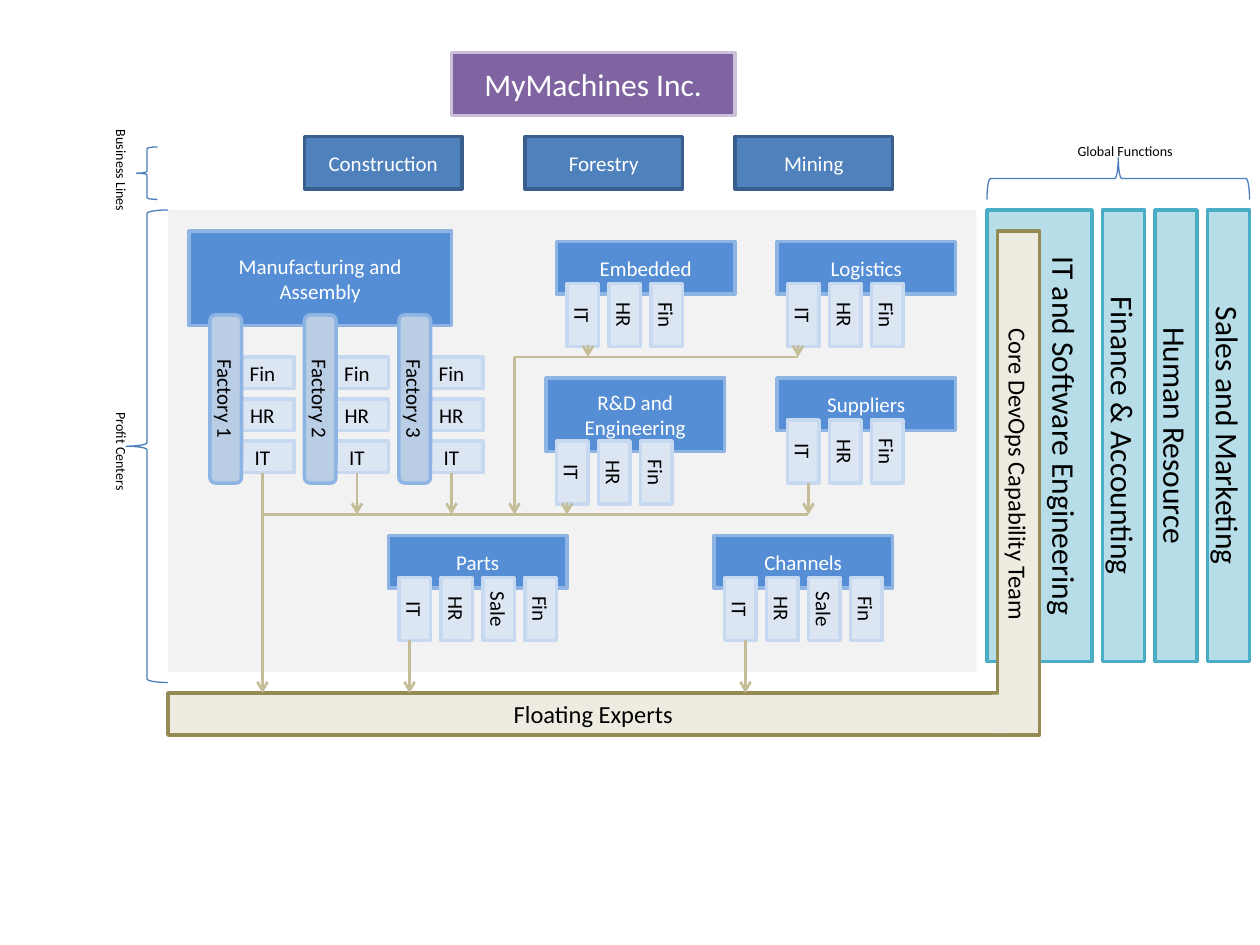
from lxml import etree
from pptx import Presentation
from pptx.dml.color import RGBColor
from pptx.enum.shapes import MSO_CONNECTOR, MSO_SHAPE
from pptx.enum.text import MSO_ANCHOR, PP_ALIGN
from pptx.oxml.ns import qn
from pptx.util import Pt

RECT, PILL, BRACE = MSO_SHAPE.RECTANGLE, MSO_SHAPE.ROUNDED_RECTANGLE, MSO_SHAPE.LEFT_BRACE
STRAIGHT = MSO_CONNECTOR.STRAIGHT
MIDDLE, CENTER = MSO_ANCHOR.MIDDLE, PP_ALIGN.CENTER
BOTTOM_SIDE = 2

COLORS = {
    "white": "FFFFFF", "black": "000000", "panel": "F2F2F2",
    "brace": "4B7EBC", "arrow": "C4BD97",
}
# style: fill, outline, text colour
STYLES = {
    "company": ("8064A2", "CCC1DA", "white"),
    "business": ("4F81BD", "3A5F8C", "white"),
    "function": ("B7DEE8", "4BACC6", "black"),
    "unit": ("558ED5", "8EB4E3", "white"),
    "department": ("DCE6F2", "C6D9F1", "black"),
    "factory": ("B9CDE5", "8EB4E3", "black"),
    "expert": ("EEECE1", "948A54", "black"),
}

COMPANY = "MyMachines Inc."
BUSINESS_LINES = [("Construction", 174), ("Forestry", 300), ("Mining", 420)]
GLOBAL_FUNCTIONS = ["Finance & Accounting", "Human Resource", "Sales and Marketing"]
FACTORIES = ["Factory 1", "Factory 2", "Factory 3"]
FACTORY_DEPARTMENTS = ["Fin", "HR", "IT"]
SUPPORT = ["IT", "HR", "Fin"]
SALES_SUPPORT = ["IT", "HR", "Sale", "Fin"]
# name, left, top, height, departments
UNITS = [
    ("Parts", 222, 306, 30, SALES_SUPPORT),
    ("Channels", 408, 306, 30, SALES_SUPPORT),
    ("Suppliers", 444, 216, 30, SUPPORT),
    ("Logistics", 444, 138, 30, SUPPORT),
    ("Embedded", 318, 138, 30, SUPPORT),
    ("R&D and Engineering", 312, 216, 42, SUPPORT),
]
# text, size, frame, vertical
LABELS = [
    ("Business Lines", 8, (61, 67, 17, 61), True),
    ("Profit Centers", 8, (61, 228, 17, 60), True),
    ("Global Functions", 8, (608, 78, 70, 17), False),
    ("IT and Software Engineering", 18, (594, 138, 29, 222), True),
]
BRACES = [((78, 84, 12, 30), False), ((72, 120, 24, 270), False), ((564, 90, 150, 24), True)]

UPPER_BUS, LOWER_BUS, EXPERTS_TOP = 204, 294, 396
FACTORY_FLOW_ENDS = [EXPERTS_TOP, LOWER_BUS, LOWER_BUS]
BUSES = [(456, 294, UPPER_BUS), (462, 150, LOWER_BUS)]
# x, start y, end y
FLOWS = [
    (294, UPPER_BUS, LOWER_BUS), (336, 198, UPPER_BUS), (456, 198, UPPER_BUS),
    (324, 288, LOWER_BUS), (462, 276, LOWER_BUS),
    (234, 366, EXPERTS_TOP), (426, 366, EXPERTS_TOP),
]


def rgb(color):
    return RGBColor.from_string(COLORS.get(color, color))


def turned(left, top, width, height):
    """Unrotated frame that covers the given area after a quarter turn."""
    return left + (width - height) / 2, top + (height - width) / 2, height, width


def write(shape, text, size, color):
    frame = shape.text_frame
    frame.word_wrap = True
    frame.vertical_anchor = MIDDLE
    frame.text = text
    paragraph = frame.paragraphs[0]
    paragraph.alignment = CENTER
    paragraph.font.size = Pt(size)
    paragraph.font.name = "Calibri"
    paragraph.font.color.rgb = rgb(color)


def paint(shape, fill, outline, width=2):
    if fill:
        shape.fill.solid()
        shape.fill.fore_color.rgb = rgb(fill)
    else:
        shape.fill.background()
    if outline:
        shape.line.color.rgb = rgb(outline)
        shape.line.width = Pt(width)
    else:
        shape.line.fill.background()


def add_plain(kind, frame, fill, outline, width=2, vertical=False):
    shape = slide.shapes.add_shape(kind, *map(Pt, turned(*frame) if vertical else frame))
    shape.rotation = 90 if vertical else 0
    shape.shadow.inherit = False
    paint(shape, fill, outline, width)
    return shape


def add_box(text, frame, style, size=12, vertical=False, kind=RECT):
    fill, outline, color = STYLES[style]
    box = add_plain(kind, frame, fill, outline, vertical=vertical)
    write(box, text, size, color)
    if vertical:
        box.text_frame.margin_left = box.text_frame.margin_right = 0
    return box


def add_label(text, size, frame, vertical):
    label = slide.shapes.add_textbox(*map(Pt, turned(*frame) if vertical else frame))
    label.rotation = 90 if vertical else 0
    write(label, text, size, "black")
    label.text_frame.word_wrap = False


def add_flow(x1, y1, x2, y2, arrow=True, source=None):
    flow = slide.shapes.add_connector(STRAIGHT, Pt(x1), Pt(y1), Pt(x2), Pt(y2))
    if source is not None:
        flow.begin_connect(source, BOTTOM_SIDE)
    flow.line.color.rgb = rgb("arrow")
    flow.line.width = Pt(1.5)
    if arrow:
        etree.SubElement(flow.line._get_or_add_ln(), qn("a:tailEnd"), type="arrow")
    etree.SubElement(flow._element.spPr, qn("a:effectLst"))


prs = Presentation()
prs.slide_width, prs.slide_height = Pt(720), Pt(540)
slide = prs.slides.add_slide(prs.slide_layouts[5])

company = slide.shapes.title
company.left, company.top, company.width, company.height = map(Pt, (258, 30, 162, 36))
company_fill, company_outline, company_text = STYLES["company"]
paint(company, company_fill, company_outline)
write(company, COMPANY, 18, company_text)

for name, left in BUSINESS_LINES:
    add_box(name, (left, 78, 90, 30), "business")

function_fill, function_outline, _ = STYLES["function"]
add_plain(RECT, (564, 120, 60, 258), function_fill, function_outline)
for i, name in enumerate(GLOBAL_FUNCTIONS):
    add_box(name, (630 + 30 * i, 120, 24, 258), "function", 18, vertical=True)

add_plain(RECT, (96, 120, 462, 264), "panel", None)
add_box("Manufacturing and Assembly", (108, 132, 150, 54), "unit")
factory_it = []
for i, name in enumerate(FACTORIES):
    left = 120 + 54 * i
    for j, department in enumerate(FACTORY_DEPARTMENTS):
        box = add_box(department, (left + 12, 204 + 24 * j, 36, 18), "department")
    factory_it.append(box)
    add_box(name, (left, 180, 18, 96), "factory", vertical=True, kind=PILL)

for name, left, top, height, departments in UNITS:
    add_box(name, (left, top, 102, height), "unit")
    for i, department in enumerate(departments):
        area = (left + 6 + 24 * i, top + height - 6, 18, 36)
        add_box(department, area, "department", vertical=True)

for frame, vertical in BRACES:
    add_plain(BRACE, frame, None, "brace", 0.75, vertical)

add_box("Floating Experts", (96, EXPERTS_TOP, 486, 24), "expert", 14)
core_team = add_box("Core DevOps Capability Team", (570, 132, 24, 288), "expert", 14, vertical=True)
core_team.text_frame.margin_right = Pt(10)
add_plain(RECT, (567, EXPERTS_TOP + 1, 8, 22), STYLES["expert"][0], None)  # opens the corner
for label in LABELS:
    add_label(*label)

for i, (source, end) in enumerate(zip(factory_it, FACTORY_FLOW_ENDS)):
    x = 150 + 54 * i
    add_flow(x, 270, x, end, source=source)
for start, end, y in BUSES:
    add_flow(start, y, end, y, arrow=False)
for x, start, end in FLOWS:
    add_flow(x, start, x, end)

prs.save("out.pptx")
